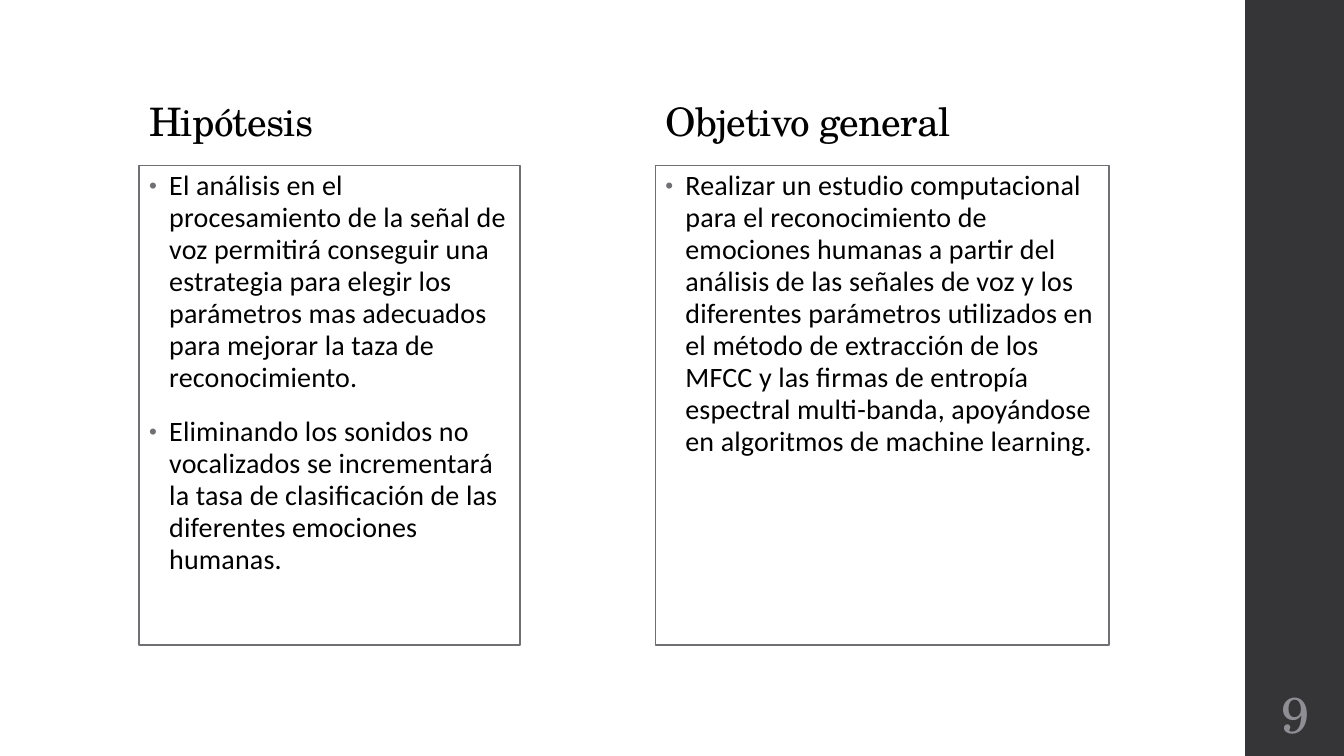
from lxml import etree
from pptx import Presentation
from pptx import util as u
from pptx.dml.color import RGBColor
from pptx.enum import shapes, text
from pptx.oxml.ns import qn

COLORS = {"paper": "FFFFFF", "band": "353537", "ink": "000000",
          "rule": "6F6F74", "number": "8E8E94"}
HEADING = {"name": "TeX Gyre Schola", "size": u.Pt(28)}
BODY = {"name": "Calibri", "size": u.Pt(20)}
NUMBER = {"name": "TeX Gyre Schola", "size": u.Pt(36)}
WIDTH, HEIGHT = 13.33, 7.5
BAND_LEFT = 12.35
HEADING_TOP, HEADING_HEIGHT = 0.04, 1.45
PANEL_TOP, PANEL_HEIGHT = 1.64, 4.76

COLUMNS = [
    (1.38, 3.21, 3.78, "Hipótesis", [
        "El análisis en el procesamiento de la señal de voz permitirá conseguir una "
        "estrategia para elegir los parámetros mas adecuados para mejorar la taza de "
        "reconocimiento.",
        "Eliminando los sonidos no vocalizados se incrementará la tasa de "
        "clasificación de las diferentes emociones humanas."]),
    (6.5, 3.51, 4.5, "Objetivo general", [
        "Realizar un estudio computacional para el reconocimiento de emociones humanas "
        "a partir del análisis de las señales de voz y los diferentes parámetros "
        "utilizados en el método de extracción de los MFCC y las firmas de entropía "
        "espectral multi-banda, apoyándose en algoritmos de machine learning."]),
]


def color(name):
    return RGBColor.from_string(COLORS[name])


def apply(target, values):
    for name, value in values.items():
        setattr(target, name, value)


def add_bullet(para):
    props = para._p.get_or_add_pPr()
    props.set("marL", str(u.Inches(0.2)))
    props.set("indent", str(-u.Inches(0.2)))
    tint = etree.SubElement(props, qn("a:buClr"))
    etree.SubElement(tint, qn("a:srgbClr"), val=COLORS["rule"])
    etree.SubElement(props, qn("a:buSzPct"), val="80000")
    etree.SubElement(props, qn("a:buFont"), typeface="Arial")
    etree.SubElement(props, qn("a:buChar"), char="•")


def write(para, words, font, ink="ink", tracking=0, **layout):
    apply(para, layout)
    span = para.add_run()
    span.text = words
    apply(span.font, font)
    span.font.color.rgb = color(ink)
    span._r.get_or_add_rPr().set("spc", str(tracking))


def add_rectangle(page, bounds, fill, line=None):
    box = page.shapes.add_shape(shapes.MSO_SHAPE.RECTANGLE, *map(u.Inches, bounds))
    box.shadow.inherit = False
    box.fill.solid()
    box.fill.fore_color.rgb = color(fill)
    if line:
        box.line.color.rgb = color(line)
        box.line.width = u.Pt(1.1)
    else:
        box.line.fill.background()
    return box


def add_label(page, bounds, anchor, words, font, **style):
    frame = page.shapes.add_textbox(*map(u.Inches, bounds)).text_frame
    apply(frame, {"word_wrap": True, "vertical_anchor": anchor})
    write(frame.paragraphs[0], words, font, **style)
    return frame


def add_panel(page, bounds, items):
    frame = add_rectangle(page, bounds, "paper", "rule").text_frame
    apply(frame, {"word_wrap": True, "vertical_anchor": text.MSO_ANCHOR.TOP})
    for index, item in enumerate(items):
        para = frame.add_paragraph() if index else frame.paragraphs[0]
        add_bullet(para)
        write(para, item, BODY, tracking=10, alignment=text.PP_ALIGN.LEFT,
              line_spacing=0.95, space_before=u.Pt(14 if index else 0),
              space_after=u.Pt(2))


def main():
    deck = Presentation()
    apply(deck, {"slide_width": u.Inches(WIDTH), "slide_height": u.Inches(HEIGHT)})
    page = deck.slides.add_slide(deck.slide_layouts[6])
    page.background.fill.solid()
    page.background.fill.fore_color.rgb = color("paper")
    add_rectangle(page, (BAND_LEFT, 0, WIDTH - BAND_LEFT, HEIGHT), "band")
    for left, heading_width, panel_width, heading, items in COLUMNS:
        add_label(page, (left, HEADING_TOP, heading_width, HEADING_HEIGHT),
                  text.MSO_ANCHOR.BOTTOM, heading, HEADING,
                  tracking=-50, line_spacing=0.9)
        add_panel(page, (left, PANEL_TOP, panel_width, PANEL_HEIGHT), items)
    number = add_label(page, (BAND_LEFT, 6.75, 1, 0.65), text.MSO_ANCHOR.MIDDLE,
                       "9", NUMBER, ink="number", alignment=text.PP_ALIGN.CENTER)
    for side in ("left", "top", "right", "bottom"):
        setattr(number, f"margin_{side}", u.Inches(0.05))
    deck.save("out.pptx")


if __name__ == "__main__":
    main()
